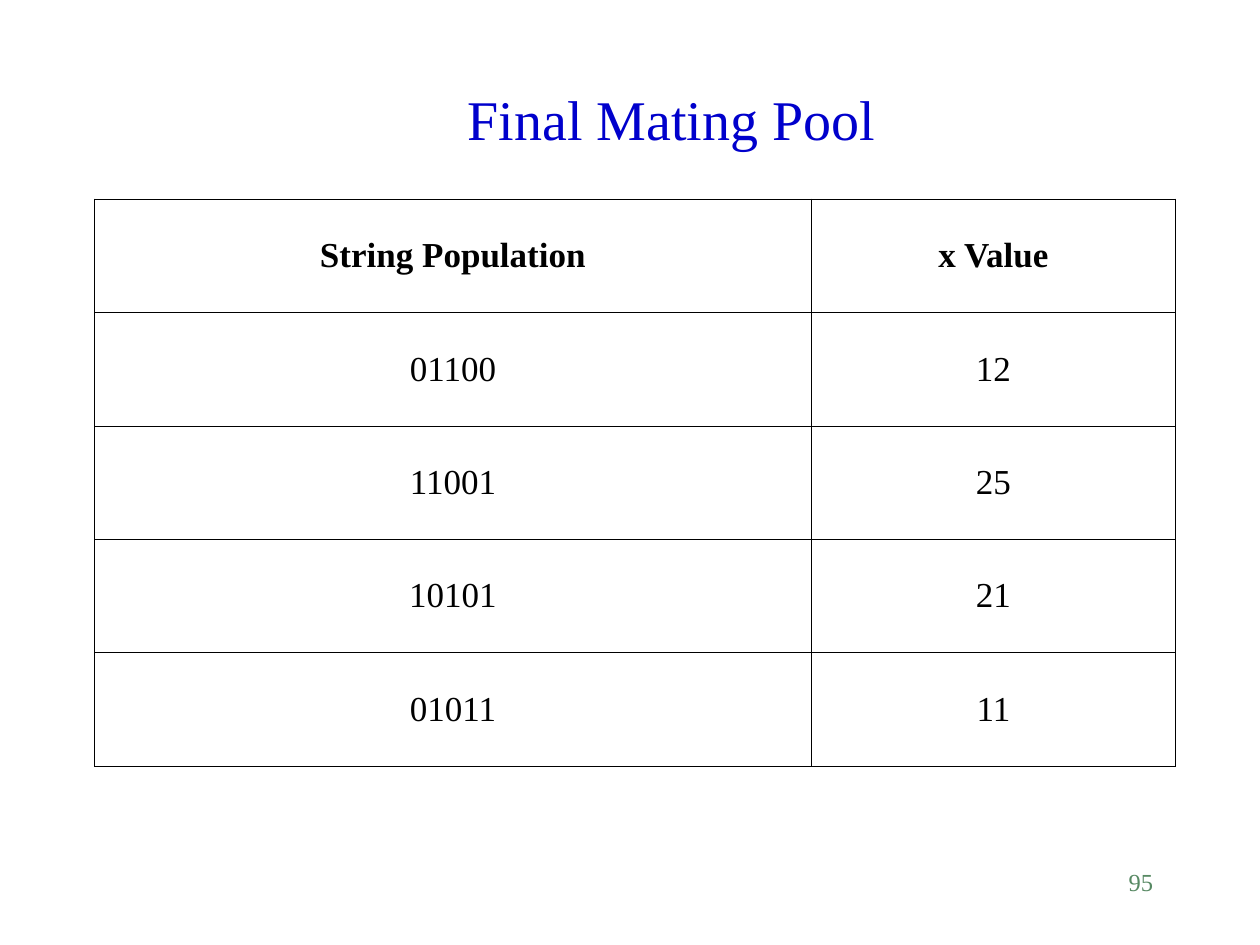
from lxml import etree
from pptx import Presentation
from pptx.dml.color import RGBColor
from pptx.enum.text import MSO_ANCHOR as Anchor, PP_ALIGN as Align
from pptx.oxml.ns import qn
from pptx.util import Inches, Pt

FONT = "Times New Roman"
BLUE = RGBColor(0x00, 0x00, 0xCC)
GREEN = RGBColor(0x57, 0x89, 0x63)
BLACK = RGBColor(0x00, 0x00, 0x00)
BORDER_WIDTH = Pt(0.45)

COLUMN_WIDTHS = (5.69, 2.89)
ROW_HEIGHT = 0.9
MATING_POOL = [
    ("String Population", "x Value"),
    ("01100", "12"),
    ("11001", "25"),
    ("10101", "21"),
    ("01011", "11"),
]


def write_text(frame, text, size, color, align, bold=False):
    paragraph = frame.paragraphs[0]
    paragraph.alignment = align
    run = paragraph.add_run()
    run.text = text
    font = run.font
    font.name, font.size, font.bold = FONT, Pt(size), bold
    font.color.rgb = color


def add_text(slide, box, text, size, color, align, anchor=Anchor.TOP):
    shape = slide.shapes.add_textbox(*(Inches(length) for length in box))
    frame = shape.text_frame
    frame.word_wrap = True
    frame.vertical_anchor = anchor
    write_text(frame, text, size, color, align)


def set_borders(cell):
    properties = cell._tc.get_or_add_tcPr()
    for index, side in enumerate(("a:lnL", "a:lnR", "a:lnT", "a:lnB")):
        line = etree.Element(qn(side), w=str(BORDER_WIDTH))
        fill = etree.SubElement(line, qn("a:solidFill"))
        etree.SubElement(fill, qn("a:srgbClr"), val=str(BLACK))
        properties.insert(index, line)  # borders come before the cell fill


def add_table(slide, left, top, rows):
    frame = slide.shapes.add_table(
        len(rows), len(COLUMN_WIDTHS), Inches(left), Inches(top),
        Inches(sum(COLUMN_WIDTHS)), Inches(ROW_HEIGHT * len(rows)))
    table = frame.table
    table.horz_banding = False
    for column, width in zip(table.columns, COLUMN_WIDTHS):
        column.width = Inches(width)
    for row_index, values in enumerate(rows):
        table.rows[row_index].height = Inches(ROW_HEIGHT)
        for column_index, value in enumerate(values):
            cell = table.cell(row_index, column_index)
            cell.fill.background()
            cell.vertical_anchor = Anchor.MIDDLE
            write_text(cell.text_frame, value, 20, BLACK, Align.CENTER,
                       bold=row_index == 0)
            set_borders(cell)


def main():
    presentation = Presentation()
    presentation.slide_width = Inches(10)
    presentation.slide_height = Inches(7.5)
    slide = presentation.slides.add_slide(presentation.slide_layouts[6])

    # Page number
    add_text(slide, (7.17, 6.83, 2.08, 0.5), "95", 14, GREEN, Align.RIGHT)

    # Title
    add_text(slide, (1.08, 0.42, 8.5, 0.83), "Final Mating Pool", 32, BLUE,
             Align.CENTER, Anchor.BOTTOM)

    # Mating pool table
    add_table(slide, 0.75, 1.58, MATING_POOL)

    presentation.save("out.pptx")


if __name__ == "__main__":
    main()
